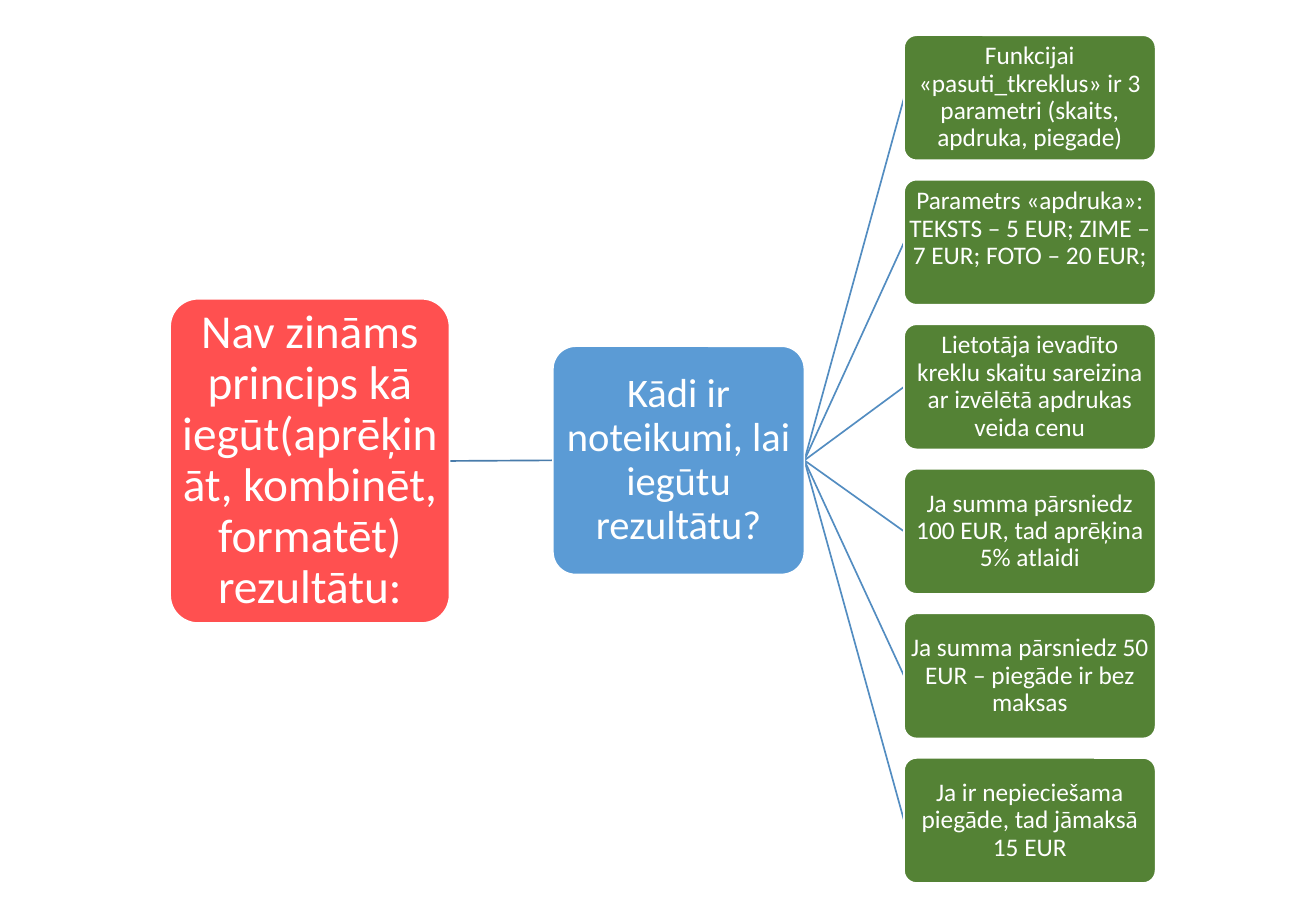
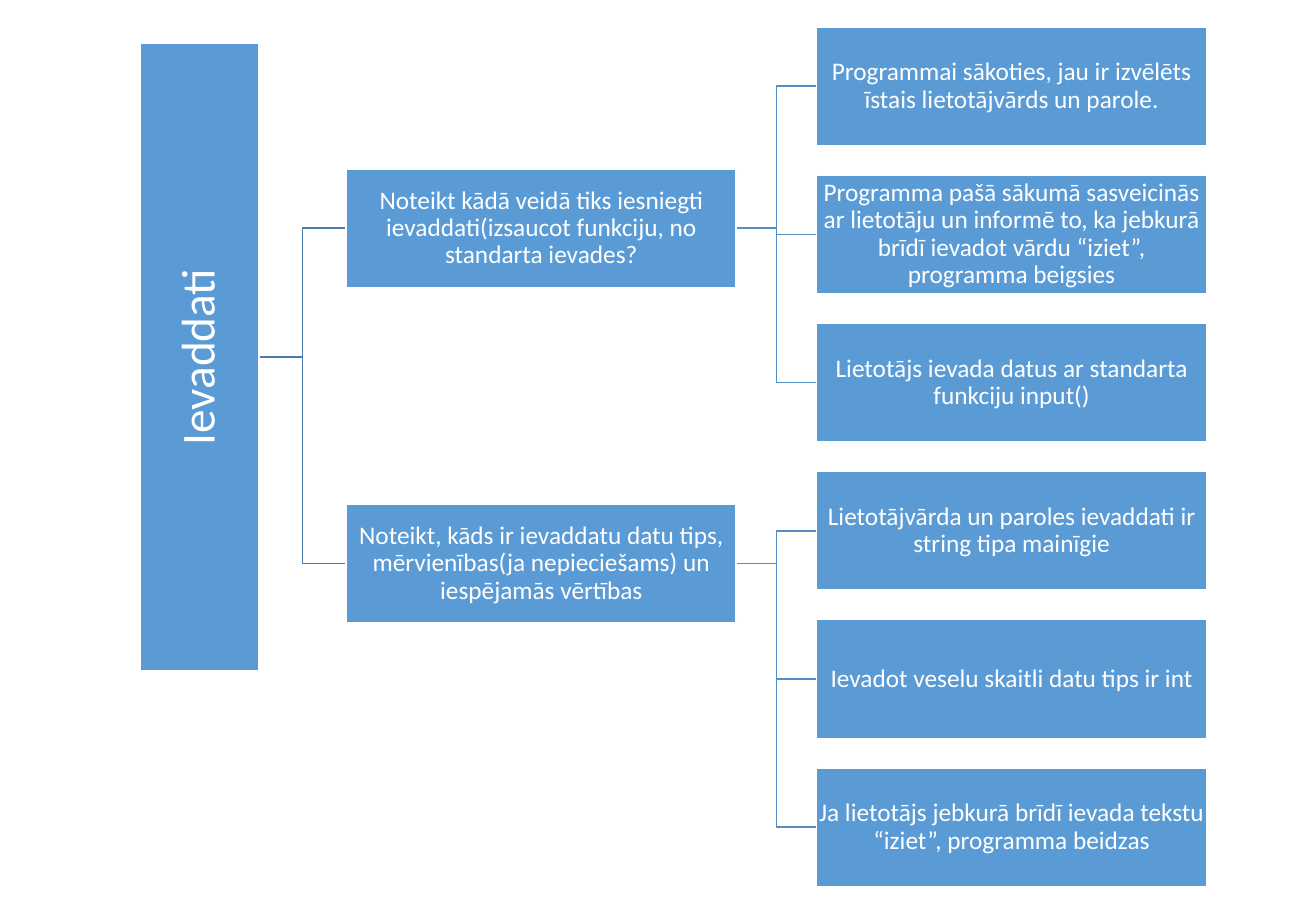
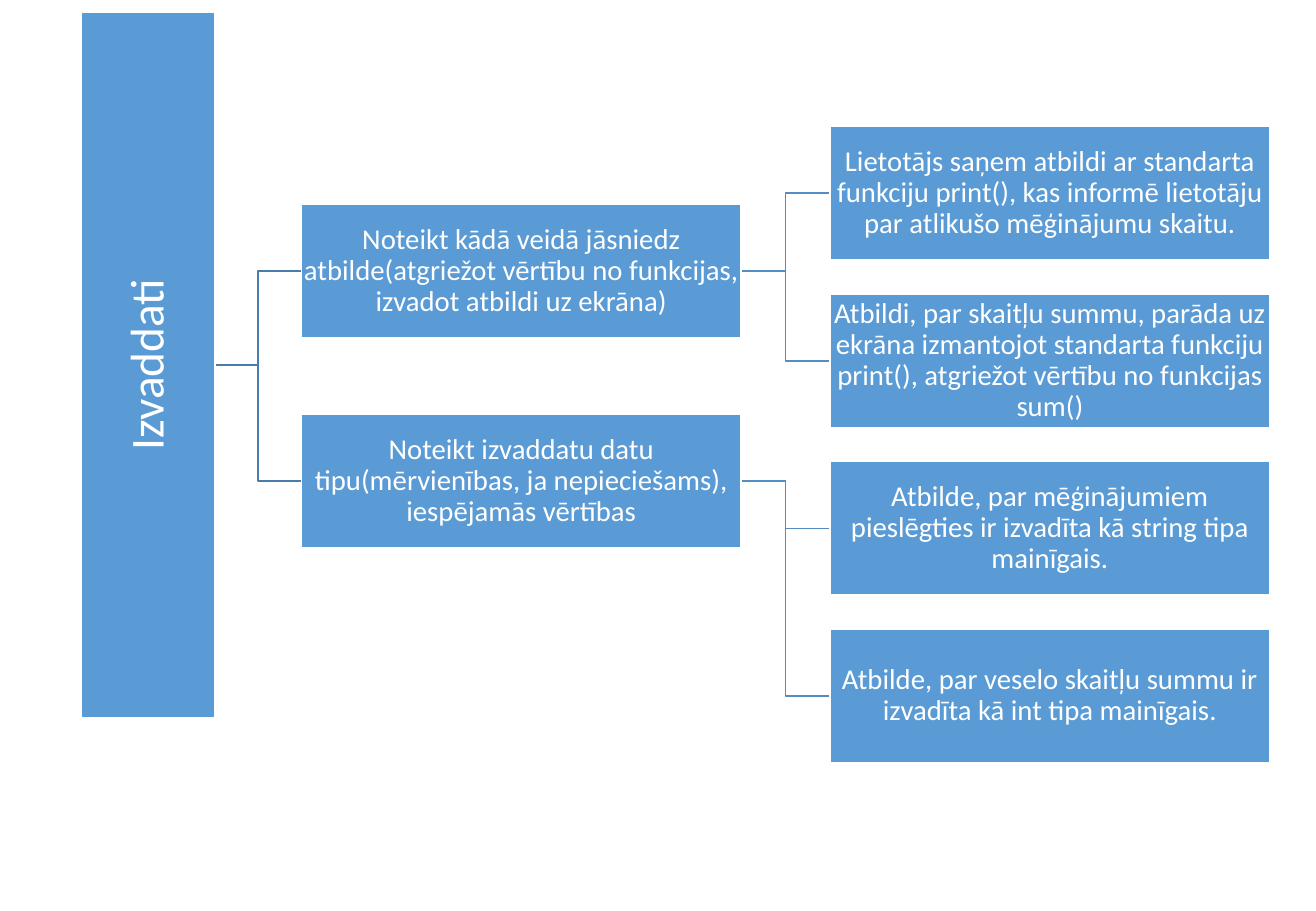
from dataclasses import dataclass
from lxml.etree import SubElement
from pptx import Presentation
from pptx.dml.color import RGBColor
from pptx.enum.shapes import MSO_CONNECTOR, MSO_SHAPE
from pptx.enum.text import MSO_ANCHOR, PP_ALIGN
from pptx.oxml.ns import qn
from pptx.util import Inches, Pt


@dataclass(frozen=True)
class Theme:
    font: str = "Calibri"
    white: str = "FFFFFF"
    red: str = "FF5050"
    blue: str = "5B9BD5"
    green: str = "548235"
    root_link: str = "497CAB"
    leaf_link: str = "538DC1"
    line: float = 1
    root_size: int = 28
    question_size: int = 24
    small: int = 15
    medium: int = 17


theme = Theme()
LEFT, RIGHT = 1, 3
RECT, ROUND = MSO_SHAPE.RECTANGLE, MSO_SHAPE.ROUNDED_RECTANGLE


def add_box(s, kind, at, text, fill, size, inset=0.01, bottom=None):
    """Add a filled box with centred text; bottom overrides the lower inset."""
    sp = s.shapes.add_shape(kind, *map(Inches, at))
    if kind == ROUND:
        sp.adjustments[0] = 0.1
    sp.shadow.inherit = False
    sp.fill.solid()
    sp.fill.fore_color.rgb = RGBColor.from_string(fill)
    sp.line.color.rgb = RGBColor.from_string(theme.white)
    sp.line.width = Pt(theme.line)
    tf = sp.text_frame
    frame = {"word_wrap": True, "vertical_anchor": MSO_ANCHOR.MIDDLE}
    for side in ("left", "top", "right", "bottom"):
        frame[f"margin_{side}"] = Inches(inset)
    if bottom is not None:
        frame["margin_bottom"] = Inches(bottom)
    for name, value in frame.items():
        setattr(tf, name, value)
    p = tf.paragraphs[0]
    p.alignment = PP_ALIGN.CENTER
    p.line_spacing = 0.9
    r = p.add_run()
    r.text = text
    for name, value in {"name": theme.font, "size": Pt(size)}.items():
        setattr(r.font, name, value)
    r.font.color.rgb = RGBColor.from_string(theme.white)
    return sp


def link(s, kind, parent, child, color):
    """Join two boxes side to side, behind the boxes."""
    c = s.shapes.add_connector(kind, 0, 0, 0, 0)
    c.begin_connect(parent, RIGHT)
    c.end_connect(child, LEFT)
    c.line.color.rgb = RGBColor.from_string(color)
    c.line.width = Pt(theme.line)
    SubElement(c.element.spPr, qn("a:effectLst"))
    c.element.getparent().insert(2, c.element)


# Each branch holds its top, its text and its leaves.
trees = [
    {
        "kind": ROUND, "connector": MSO_CONNECTOR.STRAIGHT, "vertical": False,
        "root": "Nav zināms princips kā iegūt(aprēķināt, kombinēt, formatēt) rezultātu:",
        "root_at": (1.4, 2.46, 2.3, 2.67),
        "fills": (theme.red, theme.blue, theme.green),
        "sizes": (theme.question_size, theme.small),
        "branch_left": 4.55, "branch_size": (2.07, 1.88), "branch_inset": 0.02,
        "leaf_left": 7.44, "leaf_size": (2.07, 1.03), "leaf_top": 0.29, "step": 1.19,
        "bottoms": {1: 0.23},
        "branches": [
            (2.85, "Kādi ir noteikumi, lai iegūtu rezultātu?", [
                "Funkcijai «pasuti_tkreklus» ir 3 parametri (skaits, apdruka, piegade)",
                "Parametrs «apdruka»: TEKSTS – 5 EUR; ZIME – 7 EUR; FOTO – 20 EUR;",
                "Lietotāja ievadīto kreklu skaitu sareizina ar izvēlētā apdrukas veida cenu",
                "Ja summa pārsniedz 100 EUR, tad aprēķina 5% atlaidi",
                "Ja summa pārsniedz 50 EUR – piegāde ir bez maksas",
                "Ja ir nepieciešama piegāde, tad jāmaksā 15 EUR",
            ]),
        ],
    },
    {
        "kind": RECT, "connector": MSO_CONNECTOR.ELBOW, "vertical": True,
        "root": "Ievaddati", "root_at": (1.15, 0.36, 0.98, 5.16),
        "fills": (theme.blue,) * 3, "sizes": (theme.small, theme.small),
        "branch_left": 2.85, "branch_size": (3.21, 0.98), "branch_inset": 0.01,
        "leaf_left": 6.72, "leaf_size": (3.21, 0.98), "leaf_top": 0.22, "step": 1.22,
        "bottoms": {},
        "branches": [
            (1.39, "Noteikt kādā veidā tiks iesniegti ievaddati(izsaucot funkciju, "
                   "no standarta ievades?", [
                "Programmai sākoties, jau ir izvēlēts īstais lietotājvārds un parole.",
                "Programma pašā sākumā sasveicinās ar lietotāju un informē to, ka jebkurā "
                "brīdī ievadot vārdu “iziet”, programma beigsies",
                "Lietotājs ievada datus ar standarta funkciju input()",
            ]),
            (4.15, "Noteikt, kāds ir ievaddatu datu tips, mērvienības(ja nepieciešams) "
                   "un iespējamās vērtības", [
                "Lietotājvārda un paroles ievaddati ir string tipa mainīgie",
                "Ievadot veselu skaitli datu tips ir int",
                "Ja lietotājs jebkurā brīdī ievada tekstu “iziet”, programma beidzas",
            ]),
        ],
    },
    {
        "kind": RECT, "connector": MSO_CONNECTOR.ELBOW, "vertical": True,
        "root": "Izvaddati", "root_at": (0.67, 0.1, 1.1, 5.81),
        "fills": (theme.blue,) * 3, "sizes": (theme.medium, theme.medium),
        "branch_left": 2.48, "branch_size": (3.62, 1.1), "branch_inset": 0.01,
        "leaf_left": 6.83, "leaf_size": (3.62, 1.1), "leaf_top": 1.04, "step": 1.38,
        "bottoms": {},
        "branches": [
            (1.68, "Noteikt kādā veidā jāsniedz atbilde(atgriežot vērtību no funkcijas, "
                   "izvadot atbildi uz ekrāna)", [
                "Lietotājs saņem atbildi ar standarta funkciju print(), kas informē "
                "lietotāju par atlikušo mēģinājumu skaitu.",
                "Atbildi, par skaitļu summu, parāda uz ekrāna izmantojot standarta "
                "funkciju print(), atgriežot vērtību no funkcijas sum()",
            ]),
            (3.41, "Noteikt izvaddatu datu tipu(mērvienības, ja nepieciešams), "
                   "iespējamās vērtības", [
                "Atbilde, par mēģinājumiem pieslēgties ir izvadīta kā string tipa mainīgais.",
                "Atbilde, par veselo skaitļu summu ir izvadīta kā int tipa mainīgais.",
            ]),
        ],
    },
]

prs = Presentation()
prs.slide_width, prs.slide_height = Inches(10.83), Inches(7.5)
blank = prs.slide_layouts.get_by_name("Blank")

for tree in trees:
    s = prs.slides.add_slide(blank)
    kind, connector = tree["kind"], tree["connector"]
    root_fill, branch_fill, leaf_fill = tree["fills"]
    branch_text, leaf_text = tree["sizes"]
    root = add_box(s, kind, tree["root_at"], tree["root"], root_fill, theme.root_size, 0.02)
    if tree["vertical"]:
        root.text_frame._txBody.bodyPr.set("vert", "vert270")
    row = 0
    for top, question, answers in tree["branches"]:
        branch = add_box(s, kind, (tree["branch_left"], top, *tree["branch_size"]),
                         question, branch_fill, branch_text, tree["branch_inset"])
        link(s, connector, root, branch, theme.root_link)
        for answer in answers:
            y = tree["leaf_top"] + row * tree["step"]
            leaf = add_box(s, kind, (tree["leaf_left"], y, *tree["leaf_size"]),
                           answer, leaf_fill, leaf_text, bottom=tree["bottoms"].get(row))
            link(s, connector, branch, leaf, theme.leaf_link)
            row += 1

prs.save("out.pptx")
